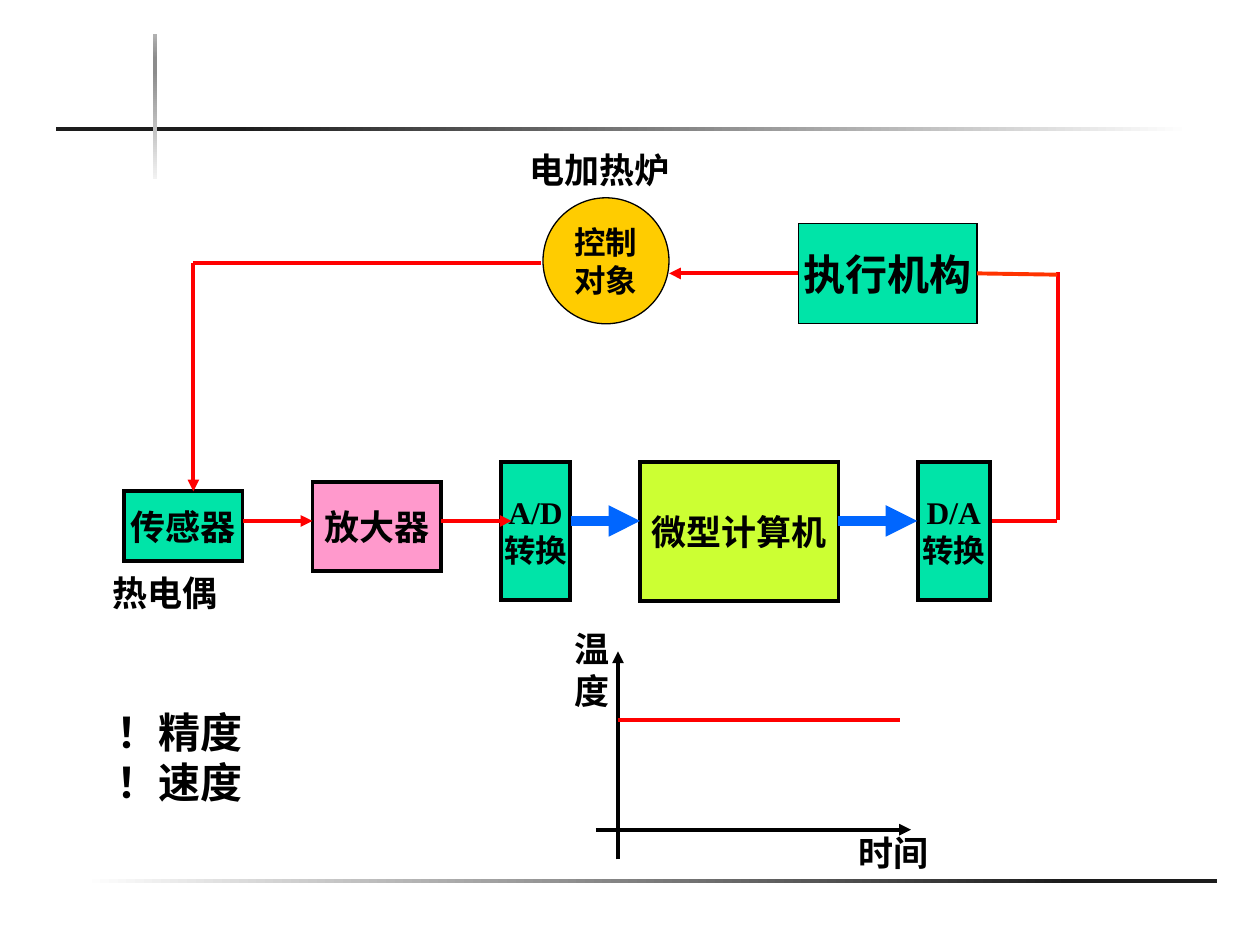
from dataclasses import dataclass
from typing import Optional

from lxml import etree
from pptx import Presentation
from pptx.dml.color import RGBColor
from pptx.enum.shapes import MSO_CONNECTOR, MSO_SHAPE
from pptx.enum.text import MSO_ANCHOR, PP_ALIGN
from pptx.oxml.ns import qn
from pptx.util import Inches, Pt

RECTANGLE = MSO_SHAPE.RECTANGLE
OVAL = MSO_SHAPE.OVAL
STRAIGHT = MSO_CONNECTOR.STRAIGHT
MIDDLE = MSO_ANCHOR.MIDDLE
TOP = MSO_ANCHOR.TOP
CENTER = PP_ALIGN.CENTER
LEFT = PP_ALIGN.LEFT
LEFT_SIDE, RIGHT_SIDE = 1, 3

SLIDE_WIDTH, SLIDE_HEIGHT = Inches(10), Inches(7.5)
COLUMN, ROW = SLIDE_WIDTH / 100, SLIDE_HEIGHT / 75
HANGING_INDENT = Inches(0.38)
CHINESE_FONT, LATIN_FONT = "Noto Sans CJK SC", "Times New Roman"
COLORS = {
    "black": "000000", "white": "FFFFFF", "charcoal": "1C1C1C",
    "pale": "F2F2F2", "gray": "8C8C8C", "silver": "B2B2B2",
    "green": "00E4A8", "pink": "FF99CC", "lime": "CCFF33",
    "gold": "FFCC00", "red": "FF0000", "orange": "FF3300", "blue": "0066FF",
}


@dataclass(frozen=True)
class Area:
    column: float
    row: float
    columns: float
    rows: float

    def lengths(self) -> tuple[int, int, int, int]:
        return (round(self.column * COLUMN), round(self.row * ROW),
                round(self.columns * COLUMN), round(self.rows * ROW))


@dataclass(frozen=True)
class Bar:
    area: Area
    stops: tuple[tuple[int, str], ...]
    angle: int = 0


@dataclass(frozen=True)
class Block:
    key: str
    area: Area
    lines: tuple[str, ...]
    fill: str = "green"
    size: int = 20
    border: float = 2.25
    outline: MSO_SHAPE = RECTANGLE


@dataclass(frozen=True)
class Label:
    area: Area
    lines: tuple[str, ...]
    size: int = 20
    hanging: bool = False


@dataclass(frozen=True)
class Line:
    start: tuple[float, float]
    end: tuple[float, float]
    color: str = "red"
    width: float = 2.25
    arrow: bool = False
    start_joint: Optional[tuple[str, int]] = None


SIGNAL_ROW = 41.35
FEEDBACK_ROW = 20.9
SENSOR_COLUMN = 15.35
RETURN_COLUMN = 84
ACTUATOR_ROW = 21.7
AXIS_COLUMN, AXIS_ROW, TARGET_ROW = 49.05, 65.85, 57.15

BARS = [
    Bar(Area(6.6, 69.8, 90, 0.3), ((0, "white"), (87, "charcoal"))),
    Bar(Area(4.45, 10.1, 90, 0.3), ((16, "charcoal"), (100, "white"))),
    Bar(Area(12.15, 2.7, 0.3, 11.5),
        ((0, "pale"), (74, "gray"), (83, "gray"), (100, "silver")), 90),
]
BLOCKS = [
    Block("sensor", Area(9.85, 39, 9.4, 5.5), ("传感器",)),
    Block("amplifier", Area(24.8, 38.25, 10.2, 7.1), ("放大器",), "pink"),
    Block("input converter", Area(39.75, 36.65, 5.5, 11), ("A/D", "转换"), size=18),
    Block("computer", Area(50.8, 36.7, 15.75, 11), ("微型计算机",), "lime"),
    Block("output converter", Area(72.85, 36.65, 5.7, 11), ("D/A", "转换"), size=18),
    Block("furnace", Area(43.1, 15.7, 10, 10), ("控制", "对象"), "gold", 18, 0.75, OVAL),
    Block("actuator", Area(63.35, 17.75, 14.2, 7.9), ("执行机构",), size=24, border=0.75),
]
LABELS = [
    Label(Area(44.6, 49.3, 6.3, 7.7), ("温度",)),
    Label(Area(67.15, 65.5, 8.1, 4.3), ("时间",)),
    Label(Area(8.3, 55.55, 13.4, 9.1), ("！精度", "！速度"), 24, True),
    Label(Area(41.05, 11.3, 15.7, 4.4), ("电加热炉",)),
    Label(Area(7.95, 44.9, 15.7, 4.4), ("热电偶",)),
]
AXES = [
    Line((47.3, AXIS_ROW), (72.3, AXIS_ROW), "black", arrow=True),
    Line((AXIS_COLUMN, 68.2), (AXIS_COLUMN, 51.7), "black", arrow=True),
    Line((AXIS_COLUMN, TARGET_ROW), (71.45, TARGET_ROW)),
]
RETURN_SIGNAL = Line((77.6, SIGNAL_ROW), (83.9, SIGNAL_ROW))
SIGNALS = [
    Line((19.3, SIGNAL_ROW), (24.8, SIGNAL_ROW), arrow=True),
    Line((35, SIGNAL_ROW), (40.6, SIGNAL_ROW), arrow=True),
    Line((45.3, SIGNAL_ROW), (50.8, SIGNAL_ROW), "blue", 6, True),
    Line((66.5, SIGNAL_ROW), (72.8, SIGNAL_ROW), "blue", 6, True),
    Line((42.9, FEEDBACK_ROW), (SENSOR_COLUMN, FEEDBACK_ROW)),
    Line((SENSOR_COLUMN, FEEDBACK_ROW), (SENSOR_COLUMN, 39), arrow=True),
    Line((RETURN_COLUMN, 41.3), (RETURN_COLUMN, 21.6)),
    Line((63.35, ACTUATOR_ROW), (53.1, ACTUATOR_ROW), arrow=True,
         start_joint=("actuator", LEFT_SIDE)),
    Line((77.55, ACTUATOR_ROW), (83.9, 21.8), "orange",
         start_joint=("actuator", RIGHT_SIDE)),
]


def rgb(color: str) -> RGBColor:
    return RGBColor.from_string(COLORS[color])


def write_lines(frame, lines: tuple[str, ...], size: int, alignment, hanging=False) -> None:
    for index, text in enumerate(lines):
        paragraph = frame.paragraphs[0] if index == 0 else frame.add_paragraph()
        paragraph.alignment = alignment
        if hanging:
            properties = paragraph._p.get_or_add_pPr()
            properties.set("marL", str(HANGING_INDENT))
            properties.set("indent", str(-HANGING_INDENT))
        run = paragraph.add_run()
        run.text = text
        font_format = {"size": Pt(size), "bold": True,
                       "name": LATIN_FONT if text.isascii() else CHINESE_FONT}
        for attribute, value in font_format.items():
            setattr(run.font, attribute, value)
        run.font.color.rgb = rgb("black")
        etree.SubElement(run._r.get_or_add_rPr(), qn("a:ea"), typeface=CHINESE_FONT)


def format_frame(frame, **frame_format) -> None:
    for attribute, value in frame_format.items():
        setattr(frame, attribute, value)


def draw_bar(slide, bar: Bar) -> None:
    shape = slide.shapes.add_shape(RECTANGLE, *bar.area.lengths())
    shape.shadow.inherit = False
    shape.line.fill.background()
    shape.fill.gradient()
    shape.fill.gradient_angle = bar.angle
    stop_list = shape._element.spPr.find(qn("a:gradFill")).find(qn("a:gsLst"))
    for stop in list(stop_list):
        stop_list.remove(stop)
    for position, color in bar.stops:
        stop = etree.SubElement(stop_list, qn("a:gs"), pos=str(position * 1000))
        etree.SubElement(stop, qn("a:srgbClr"), val=COLORS[color])


def draw_block(slide, block: Block):
    shape = slide.shapes.add_shape(block.outline, *block.area.lengths())
    shape.shadow.inherit = False
    shape.fill.solid()
    shape.fill.fore_color.rgb = rgb(block.fill)
    shape.line.color.rgb = rgb("black")
    shape.line.width = Pt(block.border)
    etree.SubElement(shape.line._get_or_add_ln(), qn("a:miter"), lim="800000")
    format_frame(shape.text_frame, word_wrap=False, vertical_anchor=MIDDLE)
    write_lines(shape.text_frame, block.lines, block.size, CENTER)
    return shape


def draw_label(slide, label: Label) -> None:
    shape = slide.shapes.add_textbox(*label.area.lengths())
    format_frame(shape.text_frame, word_wrap=True, vertical_anchor=TOP)
    write_lines(shape.text_frame, label.lines, label.size, LEFT, label.hanging)


def draw_line(slide, line: Line, blocks: dict) -> None:
    points = [round(length) for column, row in (line.start, line.end)
              for length in (column * COLUMN, row * ROW)]
    connector = slide.shapes.add_connector(STRAIGHT, *points)
    connector.line.color.rgb = rgb(line.color)
    connector.line.width = Pt(line.width)
    if line.arrow:
        etree.SubElement(connector.line._get_or_add_ln(), qn("a:tailEnd"), type="triangle")
    etree.SubElement(connector._element.spPr, qn("a:effectLst"))
    if line.start_joint:
        key, side = line.start_joint
        connector.begin_connect(blocks[key], side)


def main() -> None:
    presentation = Presentation()
    presentation.slide_width, presentation.slide_height = SLIDE_WIDTH, SLIDE_HEIGHT
    slide = presentation.slides.add_slide(presentation.slide_layouts[6])
    for bar in BARS:
        draw_bar(slide, bar)
    for line in AXES + [RETURN_SIGNAL]:
        draw_line(slide, line, {})
    for label in LABELS:
        draw_label(slide, label)
    blocks = {block.key: draw_block(slide, block) for block in BLOCKS}
    for line in SIGNALS:
        draw_line(slide, line, blocks)
    presentation.save("out.pptx")


if __name__ == "__main__":
    main()
